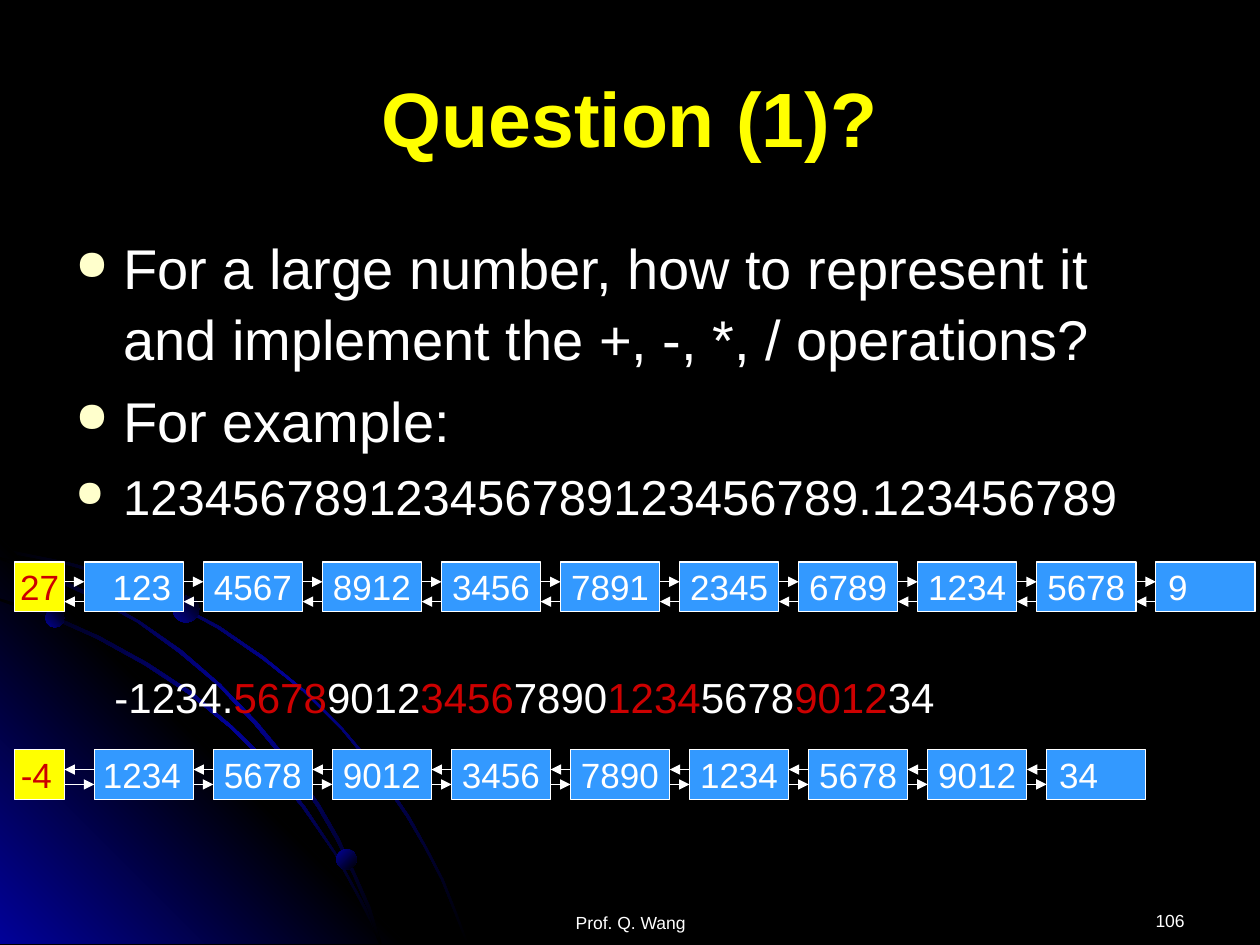
import dataclasses
import itertools

import lxml.etree
import pptx
import pptx.dml.color
import pptx.enum.dml
import pptx.enum.shapes
import pptx.enum.text
import pptx.oxml.ns
import pptx.util

ALIGN = pptx.enum.text.PP_ALIGN
SHAPES = pptx.enum.shapes.MSO_SHAPE
WIDTH, HEIGHT = 10, 7.5
UNIT = WIDTH / 63.5  # gap between two list nodes
HEAD, NODE, PITCH = 2.5, 5, 6  # in units
BLACK, BLUE, WHITE, YELLOW, RED = "000000", "010199", "FFFFFF", "FFFF00", "CC0000"
NODE_BLUE, CREAM = "3399FF", "FFFFCC"


@dataclasses.dataclass(frozen=True)
class NodeList:
    top: float
    head: str
    head_align: ALIGN
    start: float  # left of the first node, in units
    right_row: float  # units below the top
    left_row: float
    values: tuple[str, ...]


@dataclasses.dataclass(frozen=True)
class Outline:
    """A gradient outline with points in hundredths of an inch."""
    points: tuple[tuple[int, int], ...]
    colors: tuple[str, ...]
    angle: int


ARC = (BLACK, BLUE, BLACK)
OUTLINES = (
    Outline(((57, 447), (28, 441), (0, 435), (0, 438), (28, 443), (56, 449), (97, 461),
             (135, 478), (173, 499), (208, 523), (241, 549), (271, 579), (298, 612),
             (323, 649), (337, 673), (350, 698), (360, 723), (370, 749), (372, 749),
             (362, 723), (352, 698), (339, 673), (325, 648), (300, 611), (272, 578),
             (242, 548), (209, 521), (174, 497), (136, 477), (98, 459)), ARC, 45),
    Outline(((322, 749), (0, 749), (0, 427)), (BLUE, BLACK, BLUE), 315),
    Outline(((285, 714), (294, 732), (301, 749), (303, 749), (296, 730), (286, 712),
             (266, 676), (242, 640), (215, 606), (184, 576), (152, 549), (117, 526),
             (79, 505), (41, 488), (0, 475), (0, 477), (39, 490), (77, 507), (115, 528),
             (150, 551), (183, 578), (213, 608), (240, 641), (265, 677)), ARC, 45),
    Outline(((0, 442), (0, 444), (36, 457), (74, 475), (109, 494), (142, 518), (173, 544),
             (202, 575), (227, 605), (252, 641), (267, 667), (280, 694), (292, 722),
             (301, 749), (303, 749), (294, 720), (282, 693), (269, 665), (254, 639),
             (229, 603), (204, 573), (175, 543), (144, 516), (111, 493), (76, 473),
             (39, 455)), ARC, 45),
)
DOTS = ((0.36, 4.83, 0.15, 315), (2.67, 6.74, 0.16, 45), (1.37, 4.73, 0.21, 315))  # x, y, size, angle
BULLETS = (
    ("For a large number, how to represent it and implement the +, -, *, / operations?", 32),
    ("For example:", 32),
    ("123456789123456789123456789.123456789", 28),
)
DIGIT_GROUPS = ("-1234.", "5678", "9012", "3456", "7890", "1234", "5678", "9012", "34")
NODE_LISTS = (
    NodeList(4.46, "27", ALIGN.CENTER, 4.25, 1, 2,
             ("123", "4567", "8912", "3456", "7891", "2345", "6789", "1234", "5678", "9")),
    NodeList(5.95, "-4", ALIGN.RIGHT, 4.75, 1.75, 1,
             ("1234", "5678", "9012", "3456", "7890", "1234", "5678", "9012", "34")),
)


def color(value: str) -> pptx.dml.color.RGBColor:
    return pptx.dml.color.RGBColor.from_string(value)


def inches(*values: float) -> list[pptx.util.Length]:
    return [pptx.util.Inches(value) for value in values]


def add_element(parent, tag: str, **attributes: str):
    return lxml.etree.SubElement(parent, pptx.oxml.ns.qn(tag), attributes)


def set_font(font, size: float, fill: str = WHITE, bold: bool = False) -> None:
    values = {"name": "Arial", "size": pptx.util.Pt(size), "bold": bold}
    for name, value in values.items():
        setattr(font, name, value)
    font.color.rgb = color(fill)


def fill_gradient(shape, colors: tuple[str, ...], angle: int) -> None:
    """Spread the colours evenly; the angle runs clockwise."""
    shape.shadow.inherit = False
    shape.line.fill.background()
    shape.fill.gradient()
    shape.fill.gradient_angle = 360 - angle
    stops = shape._element.spPr.find(".//" + pptx.oxml.ns.qn("a:gsLst"))
    for stop in list(stops):
        stops.remove(stop)
    for index, value in enumerate(colors):
        stop = add_element(stops, "a:gs", pos=str(100000 * index // (len(colors) - 1)))
        add_element(stop, "a:srgbClr", val=value)


def add_decoration(slide) -> None:
    for outline in OUTLINES:
        builder = slide.shapes.build_freeform(*outline.points[0], scale=pptx.util.Inches(0.01))
        builder.add_line_segments(outline.points[1:], close=True)
        fill_gradient(builder.convert_to_shape(), outline.colors, outline.angle)
    for left, top, size, angle in DOTS:
        dot = slide.shapes.add_shape(SHAPES.OVAL, *inches(left, top, size, size))
        fill_gradient(dot, (BLUE, BLACK), angle)


def add_text_frame(slide, left: float, top: float, width: float, height: float):
    frame = slide.shapes.add_textbox(*inches(left, top, width, height)).text_frame
    frame.word_wrap = True
    return frame


def add_bullets(slide) -> None:
    frame = add_text_frame(slide, 0.5, 1.78, 9, 2.4)
    for index, (text, size) in enumerate(BULLETS):
        paragraph = frame.add_paragraph() if index else frame.paragraphs[0]
        paragraph.line_spacing = 1.05
        if index:
            paragraph.space_before = pptx.util.Pt(size * 0.2)
        properties = paragraph._p.get_or_add_pPr()
        indent = pptx.util.Inches(0.38)
        properties.set("marL", str(indent))
        properties.set("indent", str(-indent))
        add_element(add_element(properties, "a:buClr"), "a:srgbClr", val=CREAM)
        add_element(properties, "a:buSzPct", val="75000")
        add_element(properties, "a:buChar", char="●")
        run = paragraph.add_run()
        run.text = text
        set_font(run.font, size)


def add_digit_groups(slide) -> None:
    paragraph = add_text_frame(slide, 0.81, 5.28, 6.78, 0.5).paragraphs[0]
    for text, fill in zip(DIGIT_GROUPS, itertools.cycle((WHITE, RED))):
        run = paragraph.add_run()
        run.text = text
        set_font(run.font, 24, fill)


def add_small_text(slide, text: str, left: float, top: float, width: float, align: ALIGN) -> None:
    paragraph = add_text_frame(slide, left, top, width, 0.3).paragraphs[0]
    paragraph.text = text
    paragraph.alignment = align
    set_font(paragraph.font, 10)


def add_node(slide, text: str, left: float, top: float, width: float, align: ALIGN,
             fill: str = NODE_BLUE, text_fill: str = WHITE) -> None:
    """Draw one box; left and width are in units."""
    box = slide.shapes.add_shape(
        SHAPES.RECTANGLE, *inches(left * UNIT, top, width * UNIT, HEAD * UNIT))
    box.shadow.inherit = False
    box.fill.solid()
    box.fill.fore_color.rgb = color(fill)
    box.line.color.rgb = color(WHITE)
    box.line.width = pptx.util.Pt(0.75)
    box.text_frame.word_wrap = False
    box.text_frame.vertical_anchor = pptx.enum.text.MSO_ANCHOR.MIDDLE
    paragraph = box.text_frame.paragraphs[0]
    paragraph.text = text
    paragraph.alignment = align
    set_font(paragraph.font, 20, text_fill)


def add_arrow(slide, start: float, end: float, y: float) -> None:
    """Draw a level arrow between two places given in units."""
    arrow = slide.shapes.add_connector(
        pptx.enum.shapes.MSO_CONNECTOR.STRAIGHT, *inches(start * UNIT, y, end * UNIT, y))
    arrow.line.color.rgb = color(WHITE)
    arrow.line.width = pptx.util.Pt(0.75)
    add_element(arrow.line._get_or_add_ln(), "a:tailEnd", type="triangle")
    add_element(arrow._element.spPr, "a:effectLst")


def add_node_list(slide, nodes: NodeList) -> None:
    head_left = 0.75
    add_node(slide, nodes.head, head_left, nodes.top, HEAD, nodes.head_align, YELLOW, RED)
    previous_right = head_left + HEAD
    aligns = [ALIGN.RIGHT, *[ALIGN.CENTER] * (len(nodes.values) - 2), ALIGN.LEFT]
    for index, (text, align) in enumerate(zip(nodes.values, aligns)):
        left = nodes.start + index * PITCH
        add_node(slide, text, left, nodes.top, NODE, align)
        add_arrow(slide, previous_right, left, nodes.top + nodes.right_row * UNIT)
        add_arrow(slide, left, previous_right, nodes.top + nodes.left_row * UNIT)
        previous_right = left + NODE


def main() -> None:
    presentation = pptx.Presentation()
    presentation.slide_width, presentation.slide_height = inches(WIDTH, HEIGHT)
    slide = presentation.slides.add_slide(presentation.slide_layouts[5])
    slide.background.fill.solid()
    slide.background.fill.fore_color.rgb = color(BLACK)
    add_decoration(slide)
    title = slide.shapes.title
    title.left, title.top, title.width, title.height = inches(0.5, 0.3, 9, 1.25)
    title.text_frame.vertical_anchor = pptx.enum.text.MSO_ANCHOR.MIDDLE
    paragraph = title.text_frame.paragraphs[0]
    paragraph.text = "Question (1)?"
    paragraph.alignment = ALIGN.CENTER
    set_font(paragraph.font, 44, YELLOW, bold=True)
    add_bullets(slide)
    add_digit_groups(slide)
    for nodes in NODE_LISTS:
        add_node_list(slide, nodes)
    add_small_text(slide, "106", 7.17, 7.17, 2.33, ALIGN.RIGHT)
    add_small_text(slide, "Prof. Q. Wang", 3.42, 7.19, 3.17, ALIGN.CENTER)
    presentation.save("out.pptx")


if __name__ == "__main__":
    main()
